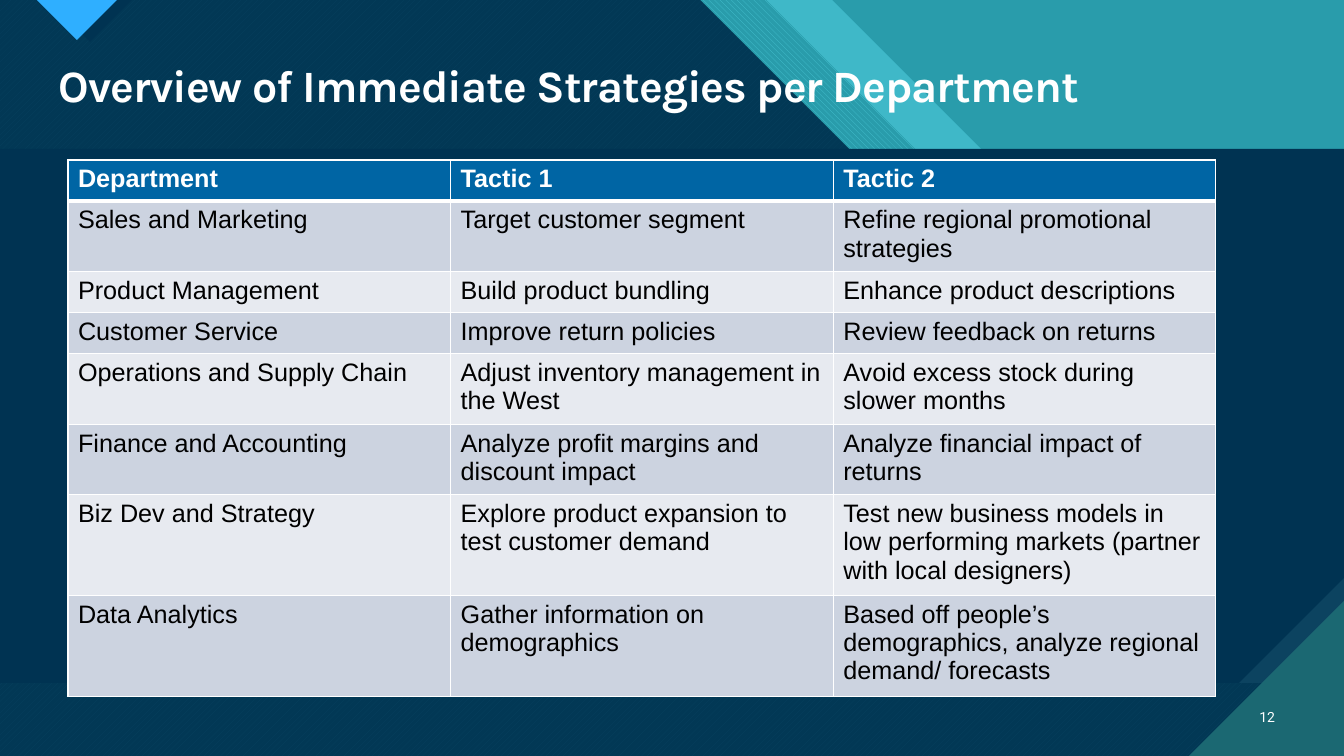
from lxml import etree
from pptx import Presentation
from pptx import util as u
from pptx.dml.color import RGBColor
from pptx.enum import dml, text
from pptx.oxml import ns

PX = 914400 / 100.8
WIDTH, HEIGHT = 1344, 756

TEAL = RGBColor(0x29, 0x9C, 0xAB)
AQUA = RGBColor(0x47, 0xC3, 0xD3)
DEEP_TEAL = RGBColor(0x1B, 0x68, 0x72)
NAVY = RGBColor(0x00, 0x33, 0x52)
SLATE = RGBColor(0x0C, 0x43, 0x60)
BRIGHT_BLUE = RGBColor(0x2F, 0xAF, 0xFF)
HEADER_BLUE = RGBColor(0x00, 0x65, 0xA4)
ROW_DARK = RGBColor(0xCC, 0xD3, 0xE0)
ROW_LIGHT = RGBColor(0xE7, 0xEA, 0xF0)
WHITE = RGBColor(0xFF, 0xFF, 0xFF)
BLACK = RGBColor(0x00, 0x00, 0x00)

TACTICS = [
    ("Department", "Tactic 1", "Tactic 2"),
    ("Sales and Marketing", "Target customer segment",
     "Refine regional promotional strategies"),
    ("Product Management", "Build product bundling", "Enhance product descriptions"),
    ("Customer Service", "Improve return policies", "Review feedback on returns"),
    ("Operations and Supply Chain", "Adjust inventory management in the West",
     "Avoid excess stock during slower months"),
    ("Finance and Accounting", "Analyze profit margins and discount impact",
     "Analyze financial impact of returns"),
    ("Biz Dev and Strategy", "Explore product expansion to test customer demand",
     "Test new business models in low performing markets (partner with local designers)"),
    ("Data Analytics", "Gather information on demographics",
     "Based off people’s demographics, analyze regional demand/ forecasts"),
]
ROW_HEIGHTS = [41, 66, 41, 41, 66, 67, 95, 95]


def px(length):
    return u.Emu(round(length * PX))


def add_polygon(slide, points, color, opacity=100, pattern=None, back=None):
    builder = slide.shapes.build_freeform(*points[0], scale=PX)
    builder.add_line_segments(points[1:], close=True)
    shape = builder.convert_to_shape()
    shape.shadow.inherit = False
    shape.line.fill.background()
    if pattern is not None:
        shape.fill.patterned()
        shape.fill.pattern = pattern
        shape.fill.fore_color.rgb = color
        shape.fill.back_color.rgb = back
    else:
        shape.fill.solid()
        shape.fill.fore_color.rgb = color
    if opacity < 100:
        fill_color = shape.fill._xPr.find(ns.qn("a:solidFill"))[0]
        etree.SubElement(fill_color, ns.qn("a:alpha"), val=str(opacity * 1000))


def add_run(paragraph, words, size, font, color, bold=False):
    run = paragraph.add_run()
    run.text = words
    run.font.size = u.Pt(size)
    run.font.name = font
    run.font.color.rgb = color
    run.font.bold = bold
    return run


def add_text_box(slide, left, top, width, height):
    box = slide.shapes.add_textbox(px(left), px(top), px(width), px(height))
    box.text_frame.word_wrap = True
    return box.text_frame


def draw_backdrop(slide, left, top, width, height):
    """Diagonal bands that step down from the top edge to the right edge."""
    right, bottom = left + width, top + height

    def stepped_outline(start, ledge, end):
        step = top + 300
        return [(left, top), (left + start, top), (left + start + 300, step),
                (left + ledge, step), (right, top + end), (right, bottom), (left, bottom)]

    slide.background.fill.solid()
    slide.background.fill.fore_color.rgb = TEAL
    add_polygon(slide, stepped_outline(832, 1244, 400), AQUA, 74)
    add_polygon(slide, stepped_outline(766, 1193, 450), AQUA,
                pattern=dml.MSO_PATTERN.WIDE_DOWNWARD_DIAGONAL, back=TEAL)
    navy_outline = stepped_outline(700, 1127, 516)
    add_polygon(slide, navy_outline, AQUA,
                pattern=dml.MSO_PATTERN.WIDE_UPWARD_DIAGONAL, back=DEEP_TEAL)
    add_polygon(slide, navy_outline, NAVY, 90)


def draw_top_marker(slide, left, top, width):
    """Blue triangle hanging from the top edge, with its dark echo."""
    for offset, span, color in ((11, width + 4, NAVY), (0, width, BRIGHT_BLUE)):
        start = left + offset
        add_polygon(slide, [(start, top), (start + span, top),
                            (start + span // 2, top + span // 2)], color)


def draw_panel(slide, left, top, width, height, snip):
    """Content panel with a cut lower right corner."""
    right, bottom = left + width, top + height
    add_polygon(slide, [(left, top), (right, top), (right, bottom), (left, bottom)], SLATE)
    add_polygon(slide, [(left, top), (right, top), (right, bottom - snip),
                        (right - snip, bottom), (left, bottom)], NAVY)


def draw_corner(slide, right, bottom, size):
    add_polygon(slide, [(right - size, bottom), (right, bottom), (right, bottom - size)],
                DEEP_TEAL)


def draw_title(slide, left, top, width, height):
    frame = add_text_box(slide, left, top, width, height)
    frame.auto_size = text.MSO_AUTO_SIZE.SHAPE_TO_FIT_TEXT
    paragraph = frame.paragraphs[0]
    paragraph.line_spacing = 0.9
    run = add_run(paragraph, "Overview of Immediate Strategies per Department",
                  32, "Karla", WHITE, True)
    run.font._element.set("spc", "-70")


def draw_page_number(slide, left, top, width, height):
    frame = add_text_box(slide, left, top, width, height)
    frame.vertical_anchor = text.MSO_ANCHOR.MIDDLE
    paragraph = frame.paragraphs[0]
    paragraph.alignment = text.PP_ALIGN.RIGHT
    add_run(paragraph, "12", 10, "Roboto", WHITE)


def set_borders(cell, widths):
    """Apply white borders; widths are points for left, right, top, bottom."""
    properties = cell._tc.get_or_add_tcPr()
    for index, (side, width) in enumerate(zip("LRTB", widths)):
        line = etree.Element(ns.qn(f"a:ln{side}"), w=str(u.Pt(width)))
        fill = etree.SubElement(line, ns.qn("a:solidFill"))
        etree.SubElement(fill, ns.qn("a:srgbClr"), val=str(WHITE))
        properties.insert(index, line)


def draw_tactics_table(slide, left, top, width):
    columns = len(TACTICS[0])
    table = slide.shapes.add_table(len(TACTICS), columns, px(left), px(top),
                                   px(width), px(sum(ROW_HEIGHTS))).table
    for column in table.columns:
        column.width = px(width / columns)
    for row_index, (row, height) in enumerate(zip(table.rows, ROW_HEIGHTS)):
        row.height = px(height)
        header = row_index == 0
        band = ROW_DARK if row_index % 2 else ROW_LIGHT
        for cell, words in zip(row.cells, TACTICS[row_index]):
            cell.fill.solid()
            cell.fill.fore_color.rgb = HEADER_BLUE if header else band
            set_borders(cell, (1, 1, 3 if row_index == 1 else 1, 3 if header else 1))
            add_run(cell.text_frame.paragraphs[0], words, 18, "Arial",
                    WHITE if header else BLACK, header)


def main():
    presentation = Presentation()
    presentation.slide_width, presentation.slide_height = px(WIDTH), px(HEIGHT)
    slide = presentation.slides.add_slide(presentation.slide_layouts[6])
    draw_backdrop(slide, 0, 0, WIDTH, HEIGHT)
    draw_top_marker(slide, 37, 0, 80)
    draw_panel(slide, 0, 149, WIDTH, 534, 105)
    draw_corner(slide, WIDTH, HEIGHT, 155)
    draw_title(slide, 49, 59, 1236, 59)
    draw_page_number(slide, 1241, 697, 44, 40)
    draw_tactics_table(slide, 68, 160, 1148)
    presentation.save("out.pptx")


if __name__ == "__main__":
    main()
